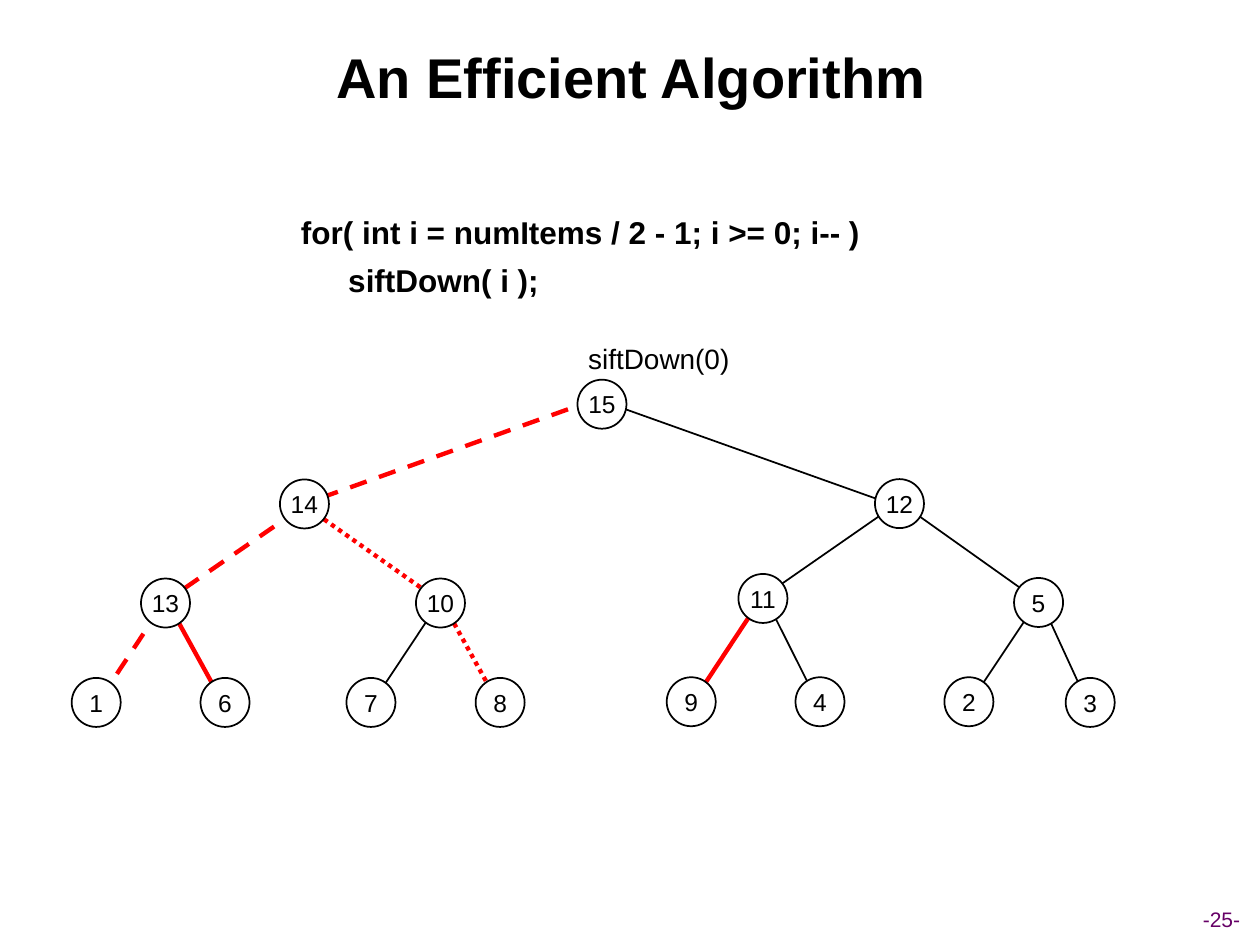
from lxml import etree
from pptx import Presentation
from pptx.dml.color import RGBColor
from pptx.enum.dml import MSO_LINE
from pptx.enum.shapes import MSO_CONNECTOR, MSO_SHAPE
from pptx.enum.text import MSO_ANCHOR, PP_ALIGN
from pptx.oxml.ns import qn
from pptx.util import Pt

DASH, DOT = MSO_LINE.DASH, MSO_LINE.ROUND_DOT
ELLIPSE, STRAIGHT = MSO_SHAPE.OVAL, MSO_CONNECTOR.STRAIGHT
LEFT, CENTER, MIDDLE = PP_ALIGN.LEFT, PP_ALIGN.CENTER, MSO_ANCHOR.MIDDLE
BLACK, WHITE, RED, PURPLE = "000000", "FFFFFF", "FF0000", "660066"

DIAMETER = 28
# Heap value: centre of its node
NODES = {
    15: (344, 231),
    14: (174, 288), 12: (514, 287.8),
    13: (94.6, 344.6), 10: (251.7, 344.6), 11: (436, 342), 5: (593.5, 344.3),
    1: (55, 401.4), 6: (128.6, 401.4), 7: (212, 401.4), 8: (285.8, 401.4),
    9: (395, 401), 4: (468.6, 401), 2: (553.7, 401), 3: (623, 401.4),
}

# Edge styles: colour, width, dash
PLAIN, SOLID = (BLACK, 1, None), (RED, 2.5, None)
DASHED, DOTTED = (RED, 2.5, DASH), (RED, 2.5, DOT)
# Parent, child, style, then optional end offsets from the two centres
EDGES = [
    (15, 14, DASHED, (-3, -3), (8, -3)), (15, 12, PLAIN, (-3, -3), (3, 3)),
    (14, 13, DASHED), (14, 10, DOTTED),
    (12, 11, PLAIN, (3, -3)), (12, 5, PLAIN, (-3, -3)),
    (13, 1, DASHED), (13, 6, SOLID),
    (10, 7, PLAIN), (10, 8, DOTTED),
    (11, 9, SOLID), (11, 4, PLAIN),
    (5, 2, PLAIN), (5, 3, PLAIN),
]


def rgb(color):
    return RGBColor.from_string(color)


def set_text(sp, lines, size, bold=False, color=BLACK, align=CENTER,
             anchor=MIDDLE, wrap=False, gap=0, indent=0):
    tf = sp.text_frame
    frame = {"word_wrap": wrap, "vertical_anchor": anchor, "margin_left": 0,
             "margin_right": 0, "margin_top": 0, "margin_bottom": 0}
    for name, value in frame.items():
        setattr(tf, name, value)
    for i, line in enumerate(lines):
        p = tf.add_paragraph() if i else tf.paragraphs[0]
        p.alignment = align
        if i:
            p.space_before = Pt(gap)
            p._p.get_or_add_pPr().set("marL", str(Pt(indent)))
        r = p.add_run()
        r.text = line
        for name, value in {"name": "Arial", "size": Pt(size), "bold": bold}.items():
            setattr(r.font, name, value)
        r.font.color.rgb = rgb(color)


def add_text(s, box, lines, size, **fmt):
    set_text(s.shapes.add_textbox(*map(Pt, box)), lines, size, **fmt)


def add_edge(s, parent, child, style, start=None, end=None):
    (x1, y1), (x2, y2) = NODES[parent], NODES[child]
    side = 3 if x2 > x1 else -3
    dx1, dy1 = start or (side, 3)
    dx2, dy2 = end or (-side, -3)
    line = s.shapes.add_connector(STRAIGHT, Pt(x1 + dx1), Pt(y1 + dy1),
                                  Pt(x2 + dx2), Pt(y2 + dy2))
    color, width, dash = style
    line.line.color.rgb = rgb(color)
    line.line.width = Pt(width)
    if dash:
        line.line.dash_style = dash
    etree.SubElement(line._element.spPr, qn("a:effectLst"))


def add_node(s, value, x, y):
    sp = s.shapes.add_shape(ELLIPSE, Pt(x - DIAMETER / 2), Pt(y - DIAMETER / 2),
                            Pt(DIAMETER), Pt(DIAMETER))
    sp.shadow.inherit = False
    sp.fill.solid()
    sp.fill.fore_color.rgb = rgb(WHITE)
    sp.line.color.rgb = rgb(BLACK)
    sp.line.width = Pt(1)
    set_text(sp, [str(value)], 14)


def main():
    prs = Presentation()
    prs.slide_width, prs.slide_height = Pt(720), Pt(540)
    s = prs.slides.add_slide(prs.slide_layouts[6])

    # Title and code
    add_text(s, (27, 9.5, 667.5, 68.5), ["An Efficient Algorithm"], 32,
             bold=True, wrap=True)
    add_text(s, (172, 122, 490, 50),
             ["for( int i = numItems / 2 - 1; i >= 0; i-- )", "siftDown( i );"], 18,
             bold=True, align=LEFT, anchor=MSO_ANCHOR.TOP, wrap=True,
             gap=5.5, indent=27)

    # Heap: edges first, so that the nodes cover their ends
    for edge in EDGES:
        add_edge(s, *edge)
    for value, centre in NODES.items():
        add_node(s, value, *centre)
    add_text(s, (329, 191, 95, 27), ["siftDown(0)"], 16)

    # Slide number
    add_text(s, (676, 514, 44, 22), ["-25-"], 12, color=PURPLE)

    prs.save("out.pptx")


if __name__ == "__main__":
    main()
